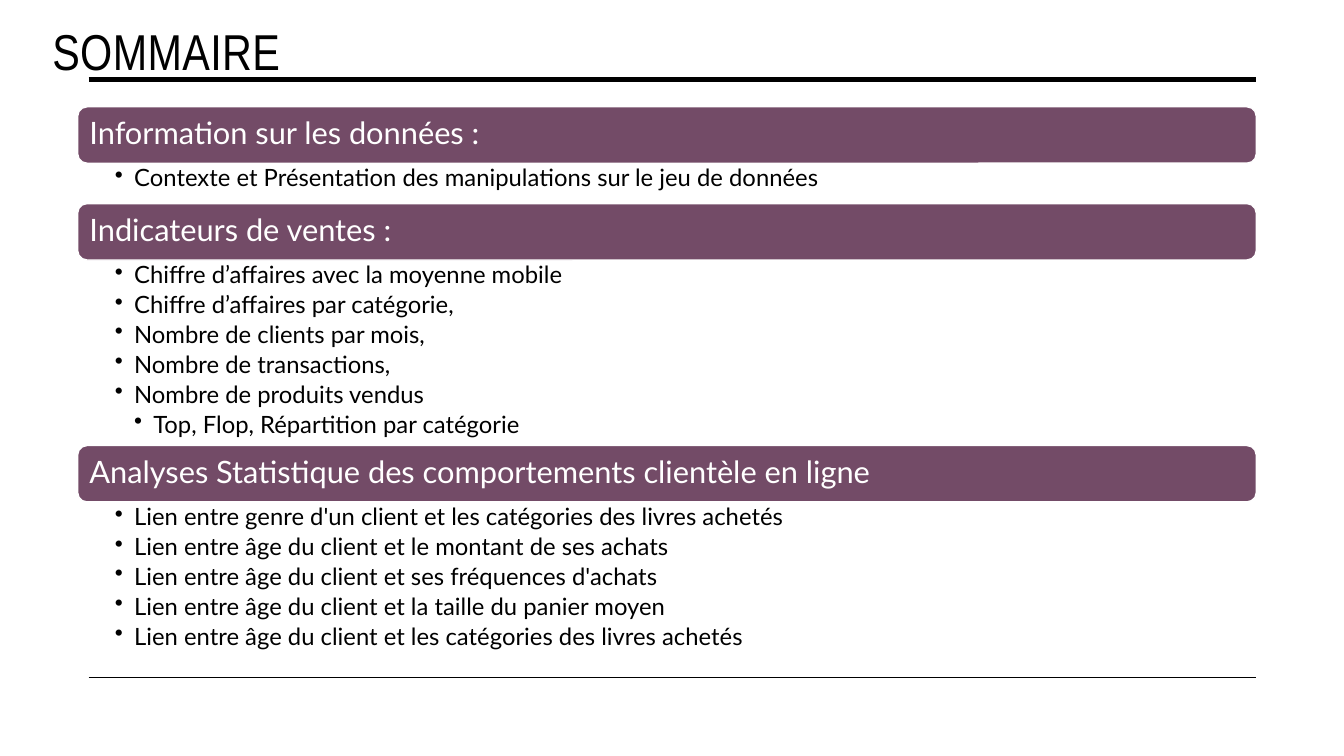
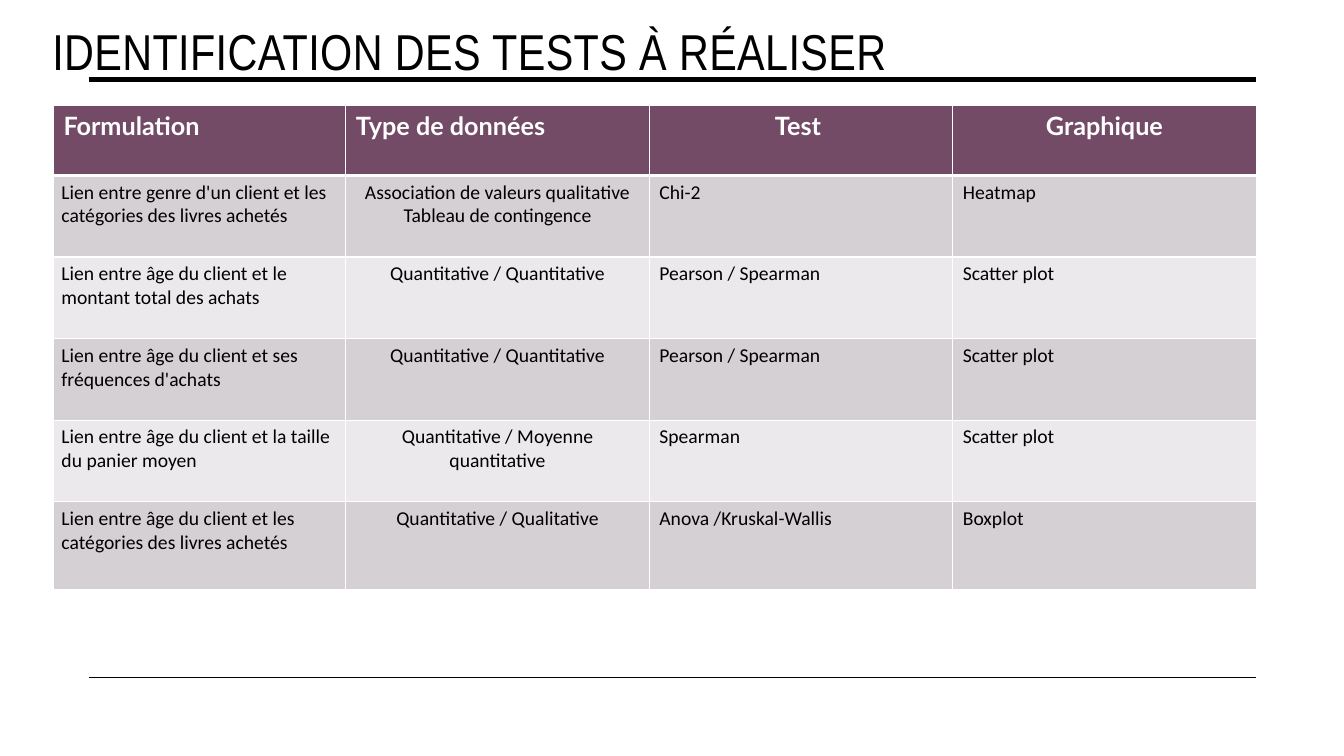
"""Build the summary slide and the statistical tests slide."""
from lxml import etree
from pptx import Presentation
from pptx.dml.color import RGBColor
from pptx.enum.shapes import MSO_CONNECTOR, MSO_SHAPE
from pptx.enum.text import MSO_ANCHOR, PP_ALIGN
from pptx.oxml.ns import qn
from pptx.util import Inches, Pt

LINE = MSO_CONNECTOR.STRAIGHT
ROUND = MSO_SHAPE.ROUNDED_RECTANGLE
TOP, MIDDLE = MSO_ANCHOR.TOP, MSO_ANCHOR.MIDDLE
LEFT, CENTER = PP_ALIGN.LEFT, PP_ALIGN.CENTER

COLORS = {
    "ink": "000000",
    "paper": "FFFFFF",
    "plum": "734B67",
    "dark": "D5D0D3",
    "light": "EBE9EB",
}
INDENT = 0.19

TOPICS = [
    ("Information sur les données :", 0.4, [
        ("Contexte et Présentation des manipulations sur le jeu de données", 1),
    ]),
    ("Indicateurs de ventes :", 1.84, [
        ("Chiffre d’affaires avec la moyenne mobile", 1),
        ("Chiffre d’affaires par catégorie,", 1),
        ("Nombre de clients par mois,", 1),
        ("Nombre de transactions,", 1),
        ("Nombre de produits vendus", 1),
        ("Top, Flop, Répartition par catégorie", 2),
    ]),
    ("Analyses Statistique des comportements clientèle en ligne", 1.52, [
        ("Lien entre genre d'un client et les catégories des livres achetés", 1),
        ("Lien entre âge du client et le montant de ses achats", 1),
        ("Lien entre âge du client et ses fréquences d'achats", 1),
        ("Lien entre âge du client et la taille du panier moyen", 1),
        ("Lien entre âge du client et les catégories des livres achetés", 1),
    ]),
]

HEADS = ["Formulation", "Type de données", "Test ", "Graphique"]
TESTS = [
    ["Lien entre genre d'un client et les catégories des livres achetés",
     "Association de valeurs qualitative\nTableau de contingence",
     "Chi-2", "Heatmap"],
    ["Lien entre âge du client et le montant total des achats",
     "Quantitative / Quantitative", "Pearson / Spearman", "Scatter plot"],
    ["Lien entre âge du client et ses fréquences d'achats",
     "Quantitative / Quantitative", "Pearson / Spearman", "Scatter plot"],
    ["Lien entre âge du client et la taille du panier moyen",
     "Quantitative / Moyenne quantitative", "Spearman", "Scatter plot"],
    ["Lien entre âge du client et les catégories des livres achetés",
     "Quantitative / Qualitative", "Anova /Kruskal-Wallis", "Boxplot"],
]


def color(name):
    return RGBColor.from_string(COLORS[name])


def write(frame, text, size=14, font="Lato", ink="ink", bold=False,
          align=LEFT, ratio=None, after=0, track=0, levels=None):
    for i, line in enumerate(text.split("\n")):
        para = frame.paragraphs[0] if i == 0 else frame.add_paragraph()
        para.alignment = align
        para.space_after = Pt(after)
        if ratio:
            para.line_spacing = ratio
        if levels:
            para.level = levels[i]
            props = para._p.get_or_add_pPr()
            props.set("marL", str(Inches(INDENT * levels[i])))
            props.set("indent", str(-Inches(INDENT)))
            etree.SubElement(props, qn("a:buChar"), char="•")
        run = para.add_run()
        run.text = line
        run.font.size = Pt(size)
        run.font.name = font
        run.font.bold = bold
        run.font.color.rgb = color(ink)
        if track:
            run._r.get_or_add_rPr().set("spc", str(track))


def inset(owner, left, top, right, bottom):
    owner.margin_left, owner.margin_top = Inches(left), Inches(top)
    owner.margin_right, owner.margin_bottom = Inches(right), Inches(bottom)


def border(cell, low):
    props = cell._tc.get_or_add_tcPr()
    for side, width in (("L", 1), ("R", 1), ("T", 1), ("B", low)):
        edge = etree.SubElement(props, qn("a:ln" + side), w=str(Pt(width)))
        fill = etree.SubElement(edge, qn("a:solidFill"))
        etree.SubElement(fill, qn("a:srgbClr"), val=COLORS["paper"])


class Deck:
    def __init__(self):
        self.file = Presentation()
        self.file.slide_width = Inches(13.33)
        self.file.slide_height = Inches(7.5)
        self.slide = None

    def page(self, title):
        self.slide = self.file.slides.add_slide(self.file.slide_layouts[6])
        self.rule(0.79, 3.5)
        self.rule(6.72, 1)
        frame = self.box(0.42, 0.14, 11.69, 0.72)
        frame.vertical_anchor = MIDDLE
        write(frame, title, size=36, font="Arial Narrow", track=30)

    def rule(self, y, width):
        line = self.slide.shapes.add_connector(
            LINE, Inches(0.88), Inches(y), Inches(12.46), Inches(y))
        line.line.color.rgb = color("ink")
        line.line.width = Pt(width)
        etree.SubElement(line._element.spPr, qn("a:effectLst"))

    def box(self, x, y, w, h):
        shape = self.slide.shapes.add_textbox(
            Inches(x), Inches(y), Inches(w), Inches(h))
        shape.text_frame.word_wrap = True
        return shape.text_frame

    def banner(self, text, x, y, w, h):
        shape = self.slide.shapes.add_shape(
            ROUND, Inches(x), Inches(y), Inches(w), Inches(h))
        shape.shadow.inherit = False
        shape.fill.solid()
        shape.fill.fore_color.rgb = color("plum")
        shape.line.color.rgb = color("paper")
        shape.line.width = Pt(1)
        frame = shape.text_frame
        frame.word_wrap = True
        frame.vertical_anchor = MIDDLE
        inset(frame, 0.09, 0.05, 0.09, 0.05)
        write(frame, text, size=22, ink="paper", ratio=0.9)

    def bullets(self, items, x, y, w, h):
        frame = self.box(x, y, w, h)
        inset(frame, 0.37, 0.03, 0.17, 0.03)
        write(frame, "\n".join(text for text, _ in items), size=17,
              ratio=0.9, after=3, levels=[level for _, level in items])

    def table(self, rows, x, y, widths, heights):
        grid = self.slide.shapes.add_table(
            len(rows), len(widths), Inches(x), Inches(y),
            Inches(sum(widths)), Inches(sum(heights))).table
        for col, width in zip(grid.columns, widths):
            col.width = Inches(width)
        for r, row in enumerate(rows):
            grid.rows[r].height = Inches(heights[r])
            for c, text in enumerate(row):
                self.cell(grid.cell(r, c), text, r, c)

    def cell(self, cell, text, r, c):
        head = r == 0
        border(cell, 3 if head else 1)
        cell.fill.solid()
        tone = "plum" if head else "dark" if r % 2 else "light"
        cell.fill.fore_color.rgb = color(tone)
        cell.vertical_anchor = TOP
        side = 0.08 if not head and c < 2 else 0.1
        inset(cell, side, 0.05, side, 0.05)
        if head:
            write(cell.text_frame, text, size=18, ink="paper", bold=True,
                  align=CENTER if c > 1 else LEFT)
        else:
            write(cell.text_frame, text, font="Calibri",
                  align=CENTER if c == 1 else LEFT)


def main():
    deck = Deck()
    deck.page("SOMMAIRE")
    x, y, wide, tall = 0.77, 1.06, 11.69, 0.56
    for head, room, items in TOPICS:
        deck.banner(head, x, y, wide, tall)
        deck.bullets(items, x, y + tall, wide, room)
        y += tall + room

    deck.page("IDENTIFICATION DES TESTS À RÉALISER")
    deck.table([HEADS] + TESTS, 0.53, 1.05, [2.9] + [3.01] * 3,
               [0.69] + [0.81] * 4 + [0.87])
    deck.file.save("out.pptx")


if __name__ == "__main__":
    main()
